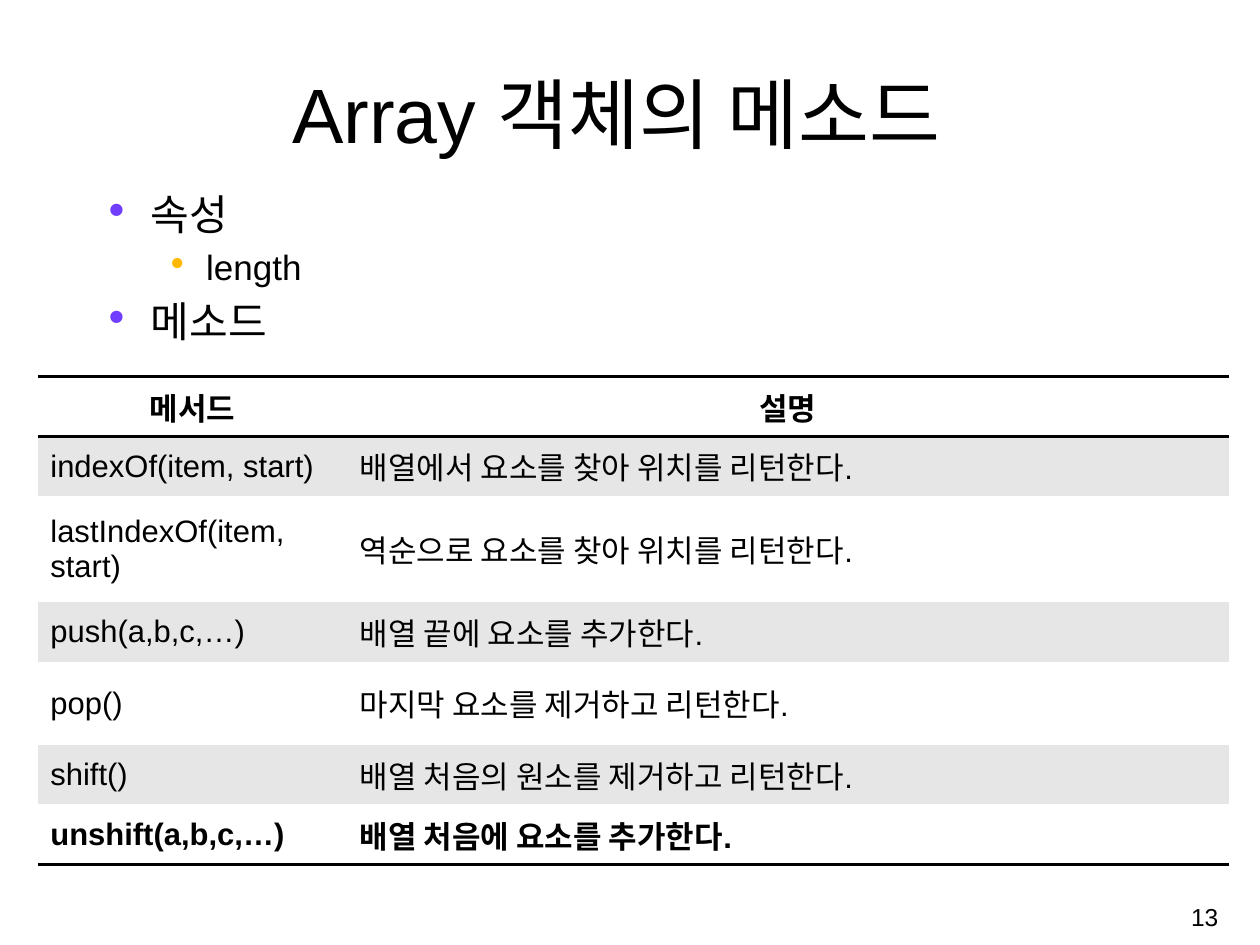
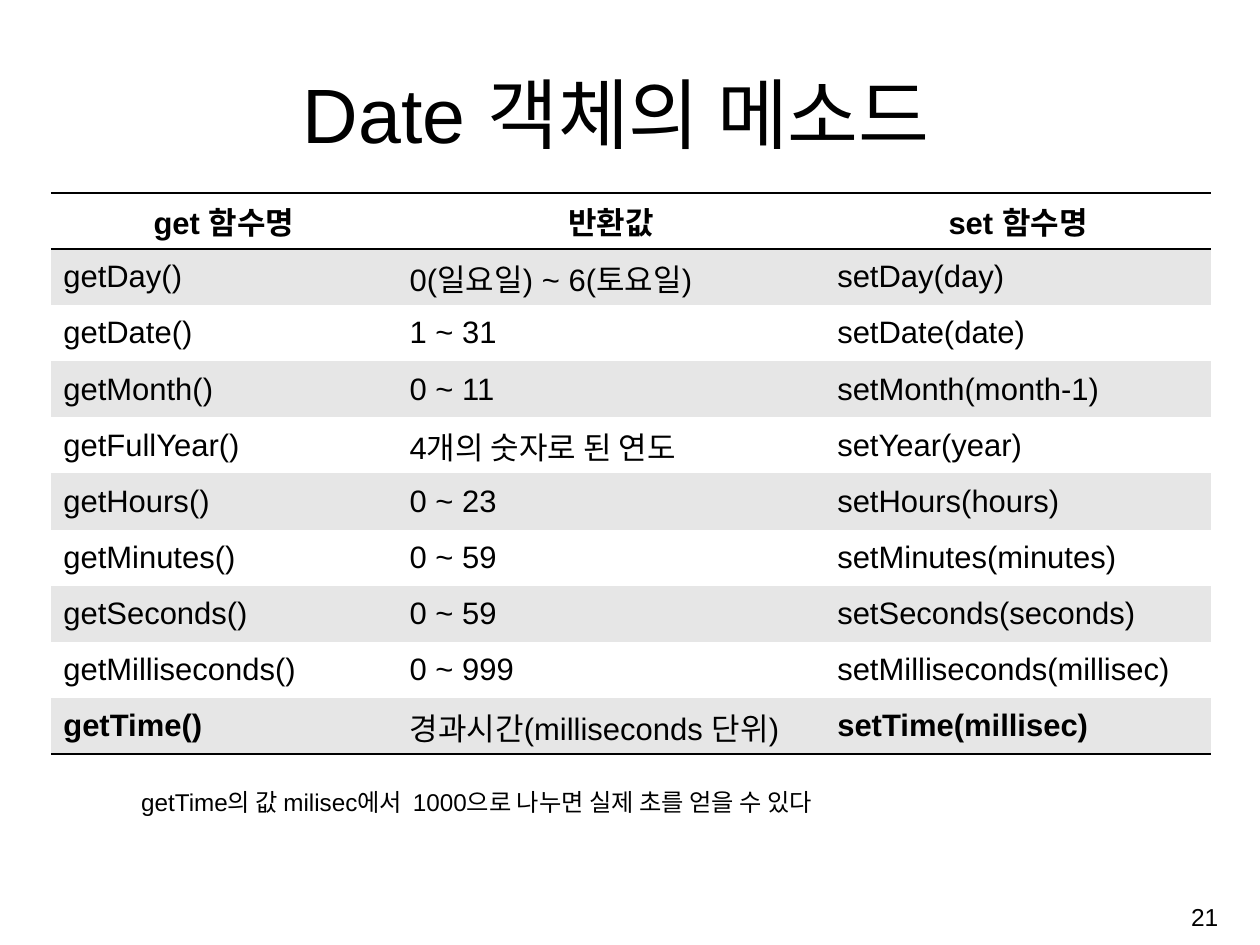
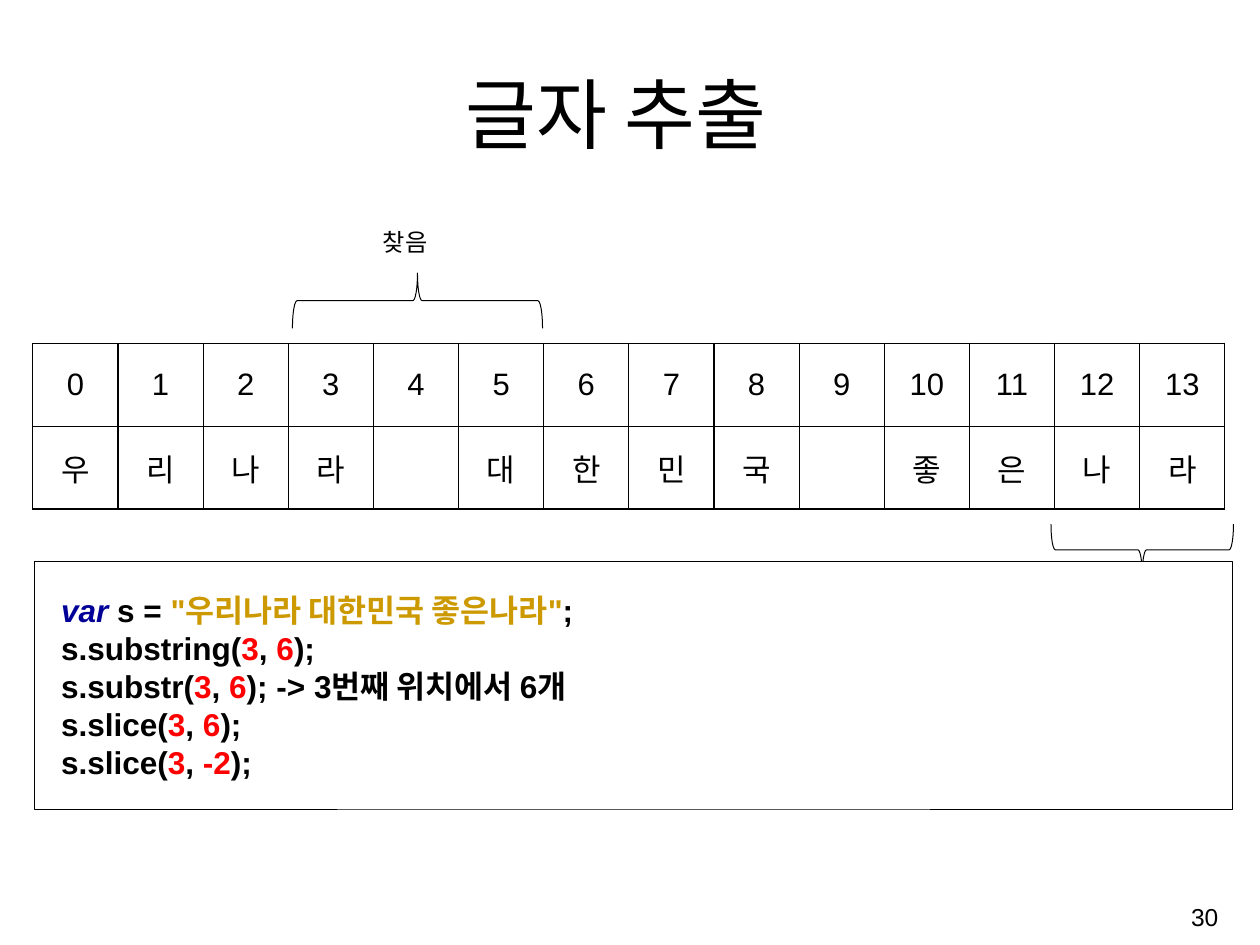
from dataclasses import dataclass

from lxml import etree
from pptx import Presentation
from pptx.dml.color import RGBColor
from pptx.enum.shapes import MSO_SHAPE
from pptx.enum.text import MSO_ANCHOR, PP_ALIGN
from pptx.oxml.ns import qn
from pptx.util import Cm, Pt

LEFT, MID, RIGHT = PP_ALIGN.LEFT, PP_ALIGN.CENTER, PP_ALIGN.RIGHT
TOP, CENTER, BOTTOM = MSO_ANCHOR.TOP, MSO_ANCHOR.MIDDLE, MSO_ANCHOR.BOTTOM
BRACE, RECT = MSO_SHAPE.RIGHT_BRACE, MSO_SHAPE.RECTANGLE


@dataclass(frozen=True)
class Theme:
    font: str = "Arial"
    ink: str = "000000"
    paper: str = "FFFFFF"
    band: str = "E6E6E6"
    violet: str = "703DFF"
    amber: str = "FFB800"
    navy: str = "000099"
    gold: str = "CC9900"
    red: str = "FF0000"
    title: float = 57.2
    body: float = 31.2
    sub: float = 26
    code: float = 23.4
    lead: float = 28.2
    cell: float = 23
    page: float = 18.2
    note: float = 18


T = Theme()


def add(par, text, size, color=T.ink, bold=False, italic=False):
    run = par.add_run()
    run.text = text
    font = run.font
    font.name, font.size = T.font, Pt(size)
    font.bold, font.italic = bold, italic
    font.color.rgb = RGBColor.from_string(color)


def grid(slide, left, top, cols, rows, data, boxed=False, strong=()):
    frame = slide.shapes.add_table(
        len(rows), len(cols), Cm(left), Cm(top), Cm(sum(cols)), Cm(sum(rows)))
    table = frame.table
    table.first_row = table.horz_banding = False
    for col, width in zip(table.columns, cols):
        col.width = Cm(width)
    for row, height in zip(table.rows, rows):
        row.height = Cm(height)
    last = len(rows) - 1
    for r, line in enumerate(data):
        for c, text in enumerate(line):
            cell = table.cell(r, c)
            cell.vertical_anchor = CENTER
            cell.margin_left = cell.margin_right = Cm(0.33)
            cell.margin_top = cell.margin_bottom = Cm(0.16)
            cell.fill.solid()
            shade = T.band if r % 2 and not boxed else T.paper
            cell.fill.fore_color.rgb = RGBColor.from_string(shade)
            par = cell.text_frame.paragraphs[0]
            par.alignment = MID if boxed or r == 0 else LEFT
            if text:
                head = r == 0 and not boxed
                add(par, text, T.cell, bold=head or text in strong)
            ruled = {"L": boxed, "R": boxed, "T": boxed or r < 2,
                     "B": boxed or r in (0, last)}
            props = cell._tc.get_or_add_tcPr()
            for spot, (side, shown) in enumerate(ruled.items()):
                edge = etree.Element(qn(f"a:ln{side}"))
                if shown:
                    edge.set("w", str(Pt(1 if boxed else 2)))
                    paint = etree.SubElement(edge, qn("a:solidFill"))
                    etree.SubElement(paint, qn("a:srgbClr"), val=T.ink)
                else:
                    etree.SubElement(edge, qn("a:noFill"))
                props.insert(spot, edge)


deck = Presentation()
deck.slide_width, deck.slide_height = Cm(33), Cm(24.75)
blank = deck.slide_layouts[6]
array, date, cut = [deck.slides.add_slide(blank) for _ in range(3)]

title_at = (2.67, 1.55, 26.95, 2.74)
page_at = (25.35, 23.24, 6.81, 1.52)
labels = [
    (date, (3.45, 20.5, 27.51, 1.02),
     "getTime의 값 milisec에서  1000으로 나누면 실제 초를 얻을 수 있다",
     T.note, LEFT, TOP),
    (cut, (9.78, 5.82, 2.34, 1.02), "찾음", T.note, LEFT, TOP),
]
for slide, title, page in (
    (array, "Array 객체의 메소드", "13"),
    (date, "Date 객체의 메소드", "21"),
    (cut, "글자 추출", "30"),
):
    labels += [
        (slide, title_at, title, T.title, MID, BOTTOM),
        (slide, page_at, page, T.page, RIGHT, CENTER),
    ]
for slide, place, text, size, align, anchor in labels:
    frame = slide.shapes.add_textbox(*map(Cm, place)).text_frame
    frame.word_wrap = True
    frame.vertical_anchor = anchor
    par = frame.paragraphs[0]
    par.alignment = align
    add(par, text, size)

frame = array.shapes.add_textbox(Cm(2.46), Cm(4.8), Cm(29.64), Cm(4.4)).text_frame
frame.word_wrap = True
top_style = (T.body, 1.24, 1.24, T.violet)
sub_style = (T.sub, 2.69, 1.04, T.amber)
for i, (text, gap, style) in enumerate((
    ("속성", 0, top_style),
    ("length", 5, sub_style),
    ("메소드", 6.2, top_style),
)):
    size, margin, hang, tint = style
    par = frame.add_paragraph() if i else frame.paragraphs[0]
    par.space_before = Pt(gap)
    add(par, text, size)
    props = par._p.get_or_add_pPr()
    props.set("marL", str(Cm(margin)))
    props.set("indent", str(-Cm(hang)))
    paint = etree.SubElement(props, qn("a:buClr"))
    etree.SubElement(paint, qn("a:srgbClr"), val=tint)
    etree.SubElement(props, qn("a:buChar"), char="∙")

grid(array, 0.99, 9.86, (8.1, 23.09),
     (1.57, 1.57, 2.77, 1.57, 2.16, 1.57, 1.57), (
    ("메서드", "설명"),
    ("indexOf(item, start)", "배열에서 요소를 찾아 위치를 리턴한다."),
    ("lastIndexOf(item, start)", "역순으로 요소를 찾아 위치를 리턴한다."),
    ("push(a,b,c,…)", "배열 끝에 요소를 추가한다."),
    ("pop()", "마지막 요소를 제거하고 리턴한다."),
    ("shift()", "배열 처음의 원소를 제거하고 리턴한다."),
    ("unshift(a,b,c,…)", "배열 처음에 요소를 추가한다."),
), strong=("unshift(a,b,c,…)", "배열 처음에 요소를 추가한다."))

grid(date, 1.33, 5.05, (9.07, 11.2, 10.13), [1.47] * 10, (
    ("get 함수명", "반환값", "set 함수명"),
    ("getDay()", "0(일요일) ~ 6(토요일)", "setDay(day)"),
    ("getDate()", "1 ~ 31", "setDate(date)"),
    ("getMonth()", "0 ~ 11", "setMonth(month-1)"),
    ("getFullYear()", "4개의 숫자로 된 연도", "setYear(year)"),
    ("getHours()", "0 ~ 23", "setHours(hours)"),
    ("getMinutes()", "0 ~ 59", "setMinutes(minutes)"),
    ("getSeconds()", "0 ~ 59", "setSeconds(seconds)"),
    ("getMilliseconds()", "0 ~ 999", "setMilliseconds(millisec)"),
    ("getTime()", "경과시간(milliseconds 단위)", "setTime(millisec)"),
), strong=("getTime()", "setTime(millisec)"))

phrase = "우리나라 대한민국 좋은나라"
grid(cut, 0.86, 8.99, [2.23] * len(phrase), [2.17] * 2,
     ([str(i) for i in range(len(phrase))], [ch.strip() for ch in phrase]),
     boxed=True)

for kind, place, turn in (
    (BRACE, (10.21, 4.6, 1.45, 6.55), 270),
    (BRACE, (29.24, 12.01, 1.35, 4.78), 90),
    (RECT, (0.91, 14.71, 31.37, 6.48), 0),
):
    shape = cut.shapes.add_shape(kind, *map(Cm, place))
    shape.rotation = turn
    shape.shadow.inherit = False
    shape.fill.solid()
    shape.fill.fore_color.rgb = RGBColor.from_string(T.paper)
    shape.line.color.rgb = RGBColor.from_string(T.ink)
    shape.line.width = Pt(0.75)

frame = shape.text_frame
frame.word_wrap = True
frame.vertical_anchor = CENTER
frame.margin_left = frame.margin_right = Cm(0.33)
frame.margin_top = frame.margin_bottom = Cm(0.16)
lines = [[("var", T.navy), (" s = ", T.ink), (f'"{phrase}"', T.gold), (";", T.ink)]]
for name, end, tail in (
    ("substring", "6", ""),
    ("substr", "6", " -> 3번째 위치에서 6개"),
    ("slice", "6", ""),
    ("slice", "-2", ""),
):
    lines.append([(f"s.{name}(", T.ink), ("3", T.red), (", ", T.ink),
                  (end, T.red), (f");{tail}", T.ink)])
for i, line in enumerate(lines):
    par = frame.add_paragraph() if i else frame.paragraphs[0]
    par.alignment = LEFT
    par.line_spacing = Pt(T.lead)
    par._p.get_or_add_pPr().set("marL", str(Cm(0.36)))
    for text, color in line:
        add(par, text, T.code, color, bold=True, italic=color == T.navy)

deck.save("out.pptx")
